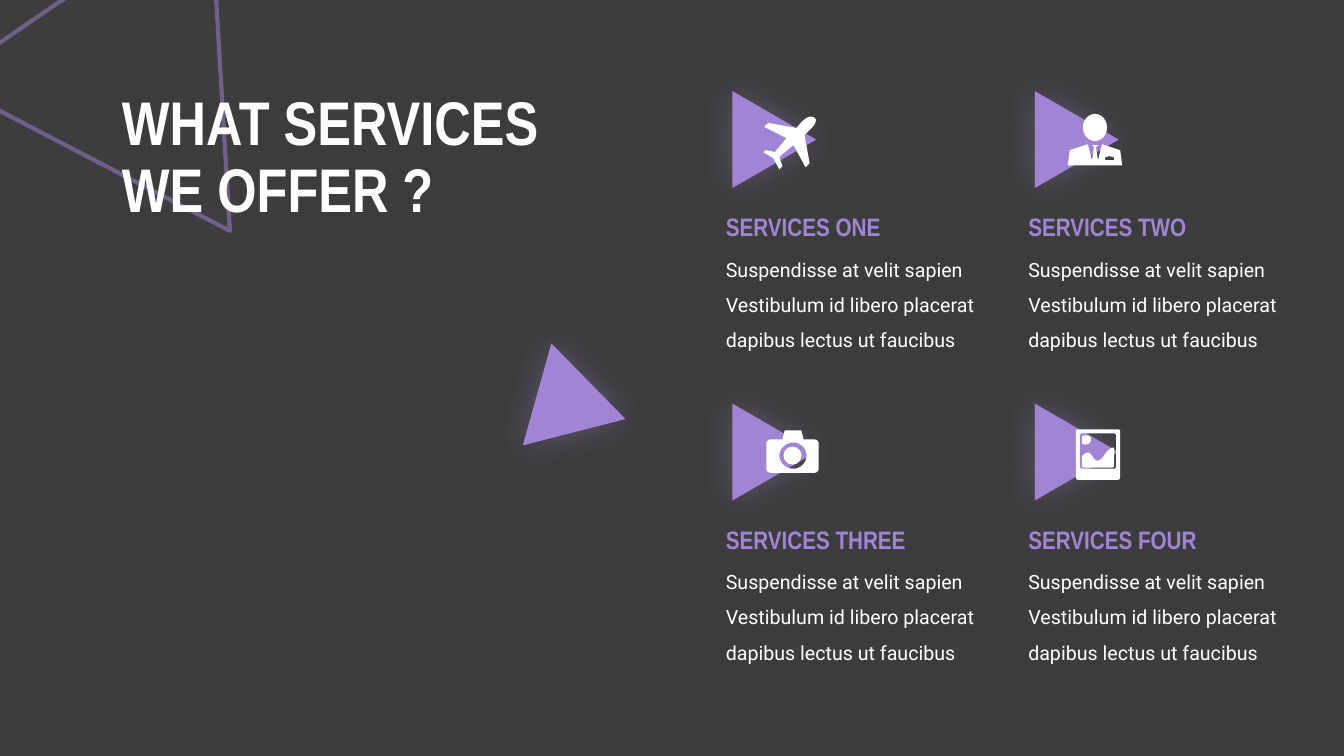
from lxml import etree
from pptx import Presentation, util as u
from pptx.dml.color import RGBColor
from pptx.enum import shapes, text
from pptx.oxml.ns import qn

PX = 9144
CURVE_STEPS = 8
COLORS = {"background": "3C3C3C", "accent": "A284D7", "light": "FFFFFF"}
HEADING_FONT = "Arial Narrow"
BODY_FONT = "Roboto"
DESCRIPTION = ("Suspendisse at velit sapien Vestibulum id libero placerat "
               "dapibus lectus ut faucibus")

PLANE = """M 808 117 C 805 114 800 116 795 121 L 790 127 L 762 122 L 758 126
L 780 137 L 771 148 C 770 149 769 150 769 151 L 760 149 L 757 151 L 767 157
L 773 168 L 776 165 L 773 156 C 774 155 775 154 776 153 L 787 144 L 799 166
L 803 162 L 798 134 L 803 129 C 808 125 811 119 808 117"""
SUIT = """M 1111 149 L 1093 143 L 1089 159 L 1087 146 L 1088 145 L 1090 144
L 1083 144 L 1084 145 L 1085 146 L 1083 159 L 1079 143 L 1061 149 L 1059 164
L 1113 164 M 1105 159 L 1096 159 L 1096 156 L 1100 155 L 1105 156"""
CAMERA = """M 808 436 L 797 436 L 795 428 C 795 427 794 427 794 427 L 779 427
C 779 427 778 427 778 428 L 776 436 L 764 436 C 762 436 760 438 760 440
L 760 465 C 760 467 762 469 764 469 L 808 469 C 810 469 812 467 812 465
L 812 440 C 812 438 810 436 808 436
M 787 465 C 779 465 773 459 773 452 C 773 445 779 439 787 439
C 794 439 800 445 800 452 C 800 459 794 465 787 465"""
HILLS = """M 1105 444 C 1098 443 1094 457 1089 457 C 1085 458 1083 449 1079 449
C 1077 449 1074 451 1073 453 L 1073 462 C 1073 463 1074 464 1075 464 L 1103 464
C 1104 464 1105 463 1105 462"""
SUN = """M 1082 436 C 1082 434 1081 432 1079 432 L 1075 432
C 1074 432 1073 433 1073 434 L 1073 440 C 1074 441 1075 441 1077 441
C 1079 441 1082 439 1082 436"""
FRAME = """M 1109 426 L 1069 426 C 1068 426 1067 427 1067 428 L 1067 473
C 1067 475 1068 476 1069 476 L 1109 476 C 1110 476 1111 475 1111 473 L 1111 428
C 1111 427 1110 426 1109 426
M 1107 444 L 1107 463 C 1107 464 1106 465 1105 465 L 1073 465
C 1072 465 1071 464 1071 463 L 1071 432 C 1071 431 1072 430 1073 430 L 1105 430
C 1106 430 1107 431 1107 432"""

SERVICES = [
    ("SERVICES ONE", [PLANE], None),
    ("SERVICES TWO", [SUIT], (1074, 113, 24, 27)),
    ("SERVICES THREE", [CAMERA], (777, 443, 18, 18)),
    ("SERVICES FOUR", [HILLS, SUN, FRAME], None),
]


def color(name):
    return RGBColor.from_string(COLORS[name])


def px(*lengths):
    return [u.Emu(length * PX) for length in lengths]


def write(frame, content, *, size, font, ink, bold=False, spacing=1.0,
          anchor=text.MSO_ANCHOR.TOP, fit=text.MSO_AUTO_SIZE.SHAPE_TO_FIT_TEXT):
    frame.word_wrap = True
    frame.auto_size = fit
    frame.vertical_anchor = anchor
    frame.text = content
    for paragraph in frame.paragraphs:
        paragraph.alignment = text.PP_ALIGN.LEFT
        paragraph.line_spacing = spacing
        for run in paragraph.runs:
            run.font.size = u.Pt(size)
            run.font.name = font
            run.font.bold = bold
            run.font.color.rgb = color(ink)


def paint(part, ink):
    part.shadow.inherit = False
    part.fill.solid()
    part.fill.fore_color.rgb = color(ink)
    part.line.fill.background()


def add_alpha(parent, percent):
    etree.SubElement(parent, qn("a:alpha"), val=str(percent * 1000))


def add_triangle(slide, box, rotation, outlined=False):
    triangle = slide.shapes.add_shape(
        shapes.MSO_SHAPE.ISOSCELES_TRIANGLE, *px(*box))
    triangle.rotation = rotation
    paint(triangle, "accent")
    properties = triangle.element.spPr
    if outlined:
        triangle.fill.background()
        triangle.line.width = u.Pt(3)
        triangle.line.color.rgb = color("accent")
        add_alpha(properties.find(".//" + qn("a:ln") + "//" + qn("a:srgbClr")), 50)
    glow = etree.SubElement(
        properties.find(qn("a:effectLst")), qn("a:outerShdw"),
        blurRad=str(u.Pt(25)), dist="0", dir="0", algn="ctr", rotWithShape="0")
    add_alpha(etree.SubElement(glow, qn("a:srgbClr"), val=COLORS["accent"]), 35)


def curve_points(start, first, second, end):
    for step in range(1, CURVE_STEPS + 1):
        t = step / CURVE_STEPS
        weights = ((1 - t) ** 3, 3 * t * (1 - t) ** 2, 3 * t * t * (1 - t), t ** 3)
        yield tuple(
            sum(w * point[axis] for w, point in zip(weights, (start, first, second, end)))
            for axis in (0, 1))


def outline_contours(outline):
    contours = []
    for command in outline.replace("M", "|M").replace("L", "|L").replace("C", "|C").split("|")[1:]:
        letter, *numbers = command.split()
        values = [int(number) * PX for number in numbers]
        points = list(zip(values[::2], values[1::2]))
        if letter == "M":
            contours.append(points)
        elif letter == "L":
            contours[-1].extend(points)
        else:
            contours[-1].extend(curve_points(contours[-1][-1], *points))
    return contours


def add_outline(canvas, outline):
    first, *holes = outline_contours(outline)
    builder = canvas.build_freeform(*first[0], scale=1.0)
    builder.add_line_segments(first[1:], close=True)
    for hole in holes:
        builder.move_to(*hole[0])
        builder.add_line_segments(hole[1:], close=True)
    paint(builder.convert_to_shape(), "light")


def add_icon(slide, outlines, disc):
    canvas = slide.shapes
    if disc or len(outlines) > 1:
        canvas = slide.shapes.add_group_shape().shapes
    for outline in outlines:
        add_outline(canvas, outline)
    if disc:
        paint(canvas.add_shape(shapes.MSO_SHAPE.OVAL, *px(*disc)), "light")


def add_service(slide, left, top, heading):
    add_triangle(slide, (left + 10, top, 96, 83), 90)
    description = slide.shapes.add_textbox(*px(left, top + 142, 281, 112))
    write(description.text_frame, DESCRIPTION, size=14, font=BODY_FONT,
          ink="light", spacing=1.5)
    label = slide.shapes.add_textbox(*px(left, top + 108, 245, 40))
    write(label.text_frame, heading, size=18, font=HEADING_FONT,
          ink="accent", bold=True)


def add_title(slide):
    title = slide.shapes.title
    title.left, title.top, title.width, title.height = px(111, 79, 562, 158)
    write(title.text_frame, "WHAT SERVICES\vWE OFFER ?", size=44,
          font=HEADING_FONT, ink="light", bold=True, spacing=0.9,
          anchor=text.MSO_ANCHOR.MIDDLE, fit=text.MSO_AUTO_SIZE.NONE)
    slide.shapes.element.append(title.element)


def main():
    deck = Presentation()
    deck.slide_width, deck.slide_height = px(1333, 750)
    slide = deck.slides.add_slide(deck.slide_layouts[5])
    slide.background.fill.solid()
    slide.background.fill.fore_color.rgb = color("background")
    add_triangle(slide, (-84, -65, 330, 275), 266.6, outlined=True)
    add_title(slide)
    for index, (heading, _, _) in enumerate(SERVICES):
        row, column = divmod(index, 2)
        add_service(slide, 710 + 300 * column, 97 + 310 * row, heading)
    for _, outlines, disc in SERVICES:
        add_icon(slide, outlines, disc)
    add_triangle(slide, (524, 358, 105, 91), 105.6)
    deck.save("out.pptx")


if __name__ == "__main__":
    main()
